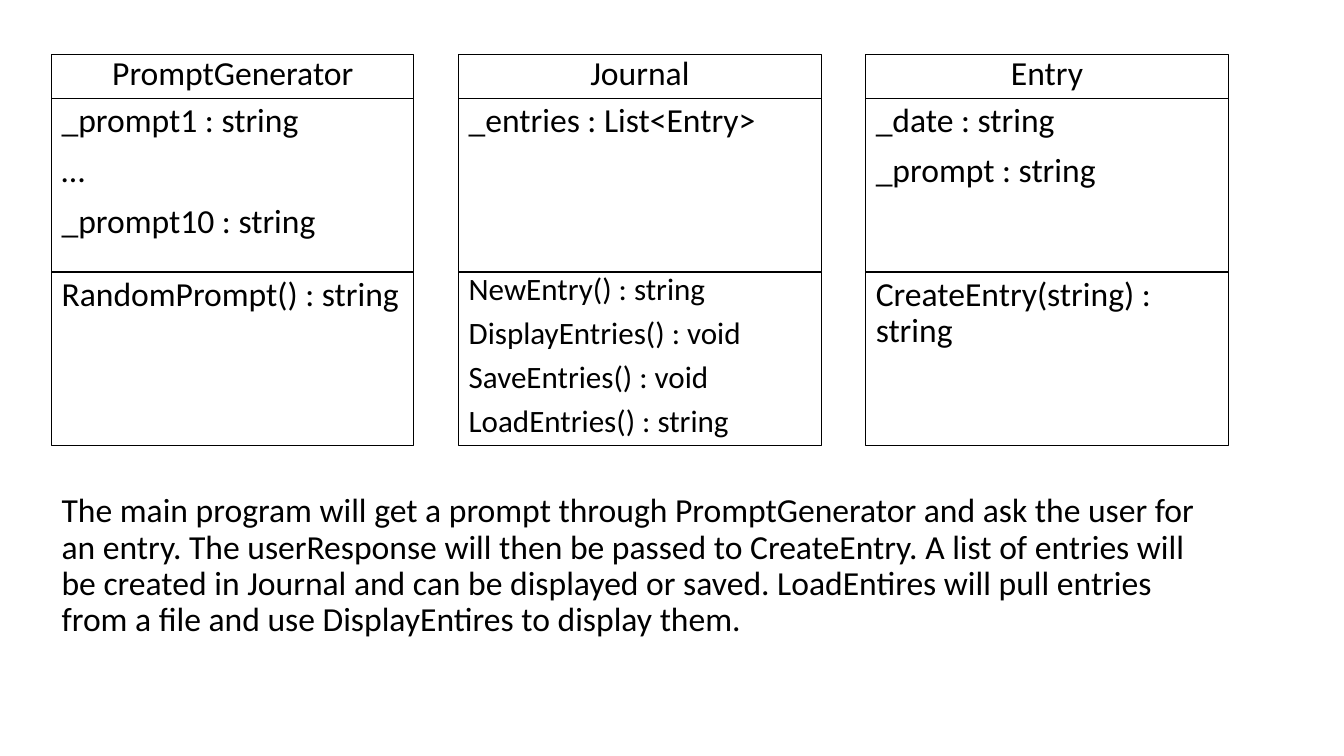
from pptx import Presentation
from pptx.dml.color import RGBColor
from pptx.enum.shapes import MSO_SHAPE
from pptx.enum.text import MSO_ANCHOR, MSO_AUTO_SIZE, PP_ALIGN
from pptx.util import Pt

RECT = MSO_SHAPE.RECTANGLE
TOP = MSO_ANCHOR.TOP
FIXED = MSO_AUTO_SIZE.NONE
LEFT, CENTER = PP_ALIGN.LEFT, PP_ALIGN.CENTER

# Content: class name, fields, methods, method text size, method line spacing
CLASSES = [
    ("PromptGenerator",
     ["_prompt1 : string", "…", "_prompt10 : string"],
     ["RandomPrompt() : string"], 24, 0.9),
    ("Journal",
     ["_entries : List<Entry>"],
     ["NewEntry() : string", "DisplayEntries() : void",
      "SaveEntries() : void", "LoadEntries() : string"], 22.2, 0.8),
    ("Entry",
     ["_date : string", "_prompt : string"],
     ["CreateEntry(string) : string"], 24, 0.9),
]
SUMMARY = (
    "The main program will get a prompt through PromptGenerator and ask the "
    "user for an entry. The userResponse will then be passed to CreateEntry. "
    "A list of entries will be created in Journal and can be displayed or "
    "saved. LoadEntires will pull entries from a file and use DisplayEntires "
    "to display them."
)

# Layout in points
X, Y = 36.9, 39
STEP, WIDTH = 290.8, 258.8
HEAD, BODY = 31.5, 123.8
NOTE_Y = 349.2
BLACK = "000000"


def color(code):
    return RGBColor.from_string(code)


def write(shape, lines, size=24, space=0.9, align=LEFT):
    frame = shape.text_frame
    frame.word_wrap = True
    frame.auto_size = FIXED
    frame.vertical_anchor = TOP
    for i, line in enumerate(lines):
        para = frame.paragraphs[0] if i == 0 else frame.add_paragraph()
        para.alignment = align
        para.line_spacing = space
        para.space_before = Pt(10)
        run = para.add_run()
        run.text = line
        run.font.name = "Calibri"
        run.font.size = Pt(size)
        run.font.color.rgb = color(BLACK)


def outline(shape):
    shape.fill.background()
    shape.line.color.rgb = color(BLACK)
    shape.line.width = Pt(0.75)


def box(x, y, height):
    shape = slide.shapes.add_shape(RECT, Pt(x), Pt(y), Pt(WIDTH), Pt(height))
    shape.shadow.inherit = False
    outline(shape)
    return shape


deck = Presentation()
deck.slide_width, deck.slide_height = Pt(960), Pt(540)
slide = deck.slides.add_slide(deck.slide_layouts[0])

# The subtitle placeholder heads the first class; the title is not needed
title = slide.shapes.title.element
title.getparent().remove(title)
first = slide.placeholders[1]
first.left, first.top = Pt(X), Pt(Y)
first.width, first.height = Pt(WIDTH), Pt(HEAD)
outline(first)

# Class boxes: name, fields, methods
for i, (name, fields, methods, size, space) in enumerate(CLASSES):
    x = X + i * STEP
    head = first if i == 0 else box(x, Y, HEAD)
    write(head, [name], space=0.8, align=CENTER)
    write(box(x, Y + HEAD, BODY), fields)
    write(box(x, Y + HEAD + BODY, BODY), methods, size, space)

# Summary below the boxes
span = STEP * (len(CLASSES) - 1) + WIDTH
note = slide.shapes.add_textbox(Pt(X), Pt(NOTE_Y), Pt(span), Pt(BODY))
write(note, [SUMMARY])

deck.save("out.pptx")
